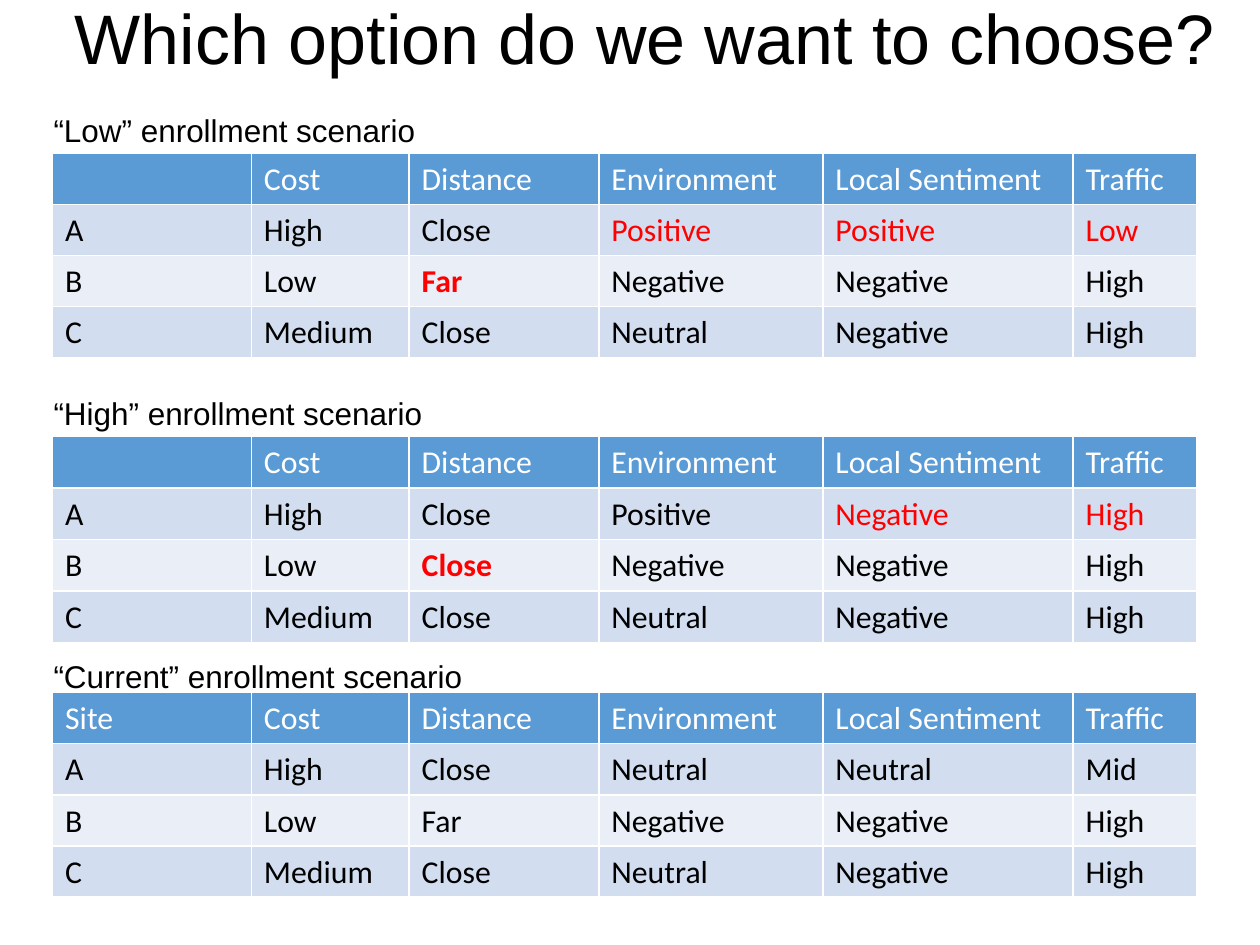
"""Build a slide that compares three sites under three enrollment scenarios."""
from dataclasses import dataclass

from lxml import etree
from pptx import Presentation
from pptx import util as u
from pptx.dml.color import RGBColor
from pptx.enum import text
from pptx.oxml.ns import qn
from pptx.slide import Slide
from pptx.table import _Cell
from pptx.text.text import TextFrame

COLORS = {
    "black": "000000",
    "white": "FFFFFF",
    "red": "FF0000",
    "header": "5B9BD5",
    "odd": "D2DEEF",
    "even": "EAEFF7",
}
CM_PER_INCH = 2.54
PAGE_WIDTH = 28 / CM_PER_INCH
PAGE_HEIGHT = 21 / CM_PER_INCH
COLUMN_WIDTHS = (1.74, 1.38, 1.66, 1.96, 2.19, 1.08)
TABLE_HEIGHT = 1.79
CRITERIA = ("Cost", "Distance", "Environment", "Local Sentiment", "Traffic")
SITE_C = ("C", "Medium", "Close", "Neutral", "Negative", "High")


@dataclass(frozen=True)
class Scenario:
    """One labelled table, with its changed cells given as (row, column)."""
    label: str
    label_top: float
    label_width: float
    table_top: float
    corner: str
    site_a: tuple[str, ...]
    site_b: tuple[str, ...]
    red: tuple[tuple[int, int], ...] = ()
    bold: tuple[tuple[int, int], ...] = ()


SCENARIOS = (
    Scenario("“High” enrollment scenario", 3.4, 3.49, 3.82, "",
             ("A", "High", "Close", "Positive", "Negative", "High"),
             ("B", "Low", "Close", "Negative", "Negative", "High"),
             red=((1, 4), (1, 5), (2, 2)), bold=((2, 2),)),
    Scenario("“Current” enrollment scenario", 5.7, 4.5, 6.06, "Site",
             ("A", "High", "Close", "Neutral", "Neutral", "Mid"),
             ("B", "Low", "Far", "Negative", "Negative", "High")),
    Scenario("“Low” enrollment scenario", 0.92, 3.49, 1.34, "",
             ("A", "High", "Close", "Positive", "Positive", "Low"),
             ("B", "Low", "Far", "Negative", "Negative", "High"),
             red=((1, 3), (1, 4), (1, 5), (2, 2)), bold=((2, 2),)),
)


def write(frame: TextFrame, words: str, *, size: float, font: str = "Arial",
          color: str = "black", bold: bool = False,
          align: text.PP_ALIGN = text.PP_ALIGN.LEFT) -> None:
    """Put one formatted run of text in a frame."""
    para = frame.paragraphs[0]
    para.alignment = align
    span = para.add_run()
    span.text = words
    span.font.size = u.Pt(size)
    span.font.name = font
    span.font.bold = bold
    span.font.color.rgb = RGBColor.from_string(COLORS[color])


def add_borders(cell: _Cell) -> None:
    """Draw thin white lines round a cell."""
    properties = cell._tc.get_or_add_tcPr()
    for position, side in enumerate(("lnL", "lnR", "lnT", "lnB")):
        line = etree.Element(qn(f"a:{side}"), w=str(u.Pt(1)))
        fill = etree.SubElement(line, qn("a:solidFill"))
        etree.SubElement(fill, qn("a:srgbClr"), val=COLORS["white"])
        properties.insert(position, line)


def format_cell(cell: _Cell, words: str, *, fill: str, color: str,
                bold: bool) -> None:
    """Fill, border and write one table cell."""
    cell.margin_left = cell.margin_right = u.Inches(0.11)
    cell.margin_top, cell.margin_bottom = u.Inches(0.06), u.Inches(0.05)
    cell.fill.solid()
    cell.fill.fore_color.rgb = RGBColor.from_string(COLORS[fill])
    add_borders(cell)
    if words:
        write(cell.text_frame, words, size=20, font="Calibri",
              color=color, bold=bold)


def add_scenario(page: Slide, scenario: Scenario) -> None:
    """Draw the label and the table of one scenario."""
    rows = ((scenario.corner, *CRITERIA), scenario.site_a, scenario.site_b, SITE_C)
    table = page.shapes.add_table(
        len(rows), len(COLUMN_WIDTHS), u.Inches(0.46), u.Inches(scenario.table_top),
        u.Inches(sum(COLUMN_WIDTHS)), u.Inches(TABLE_HEIGHT)).table
    for column, width in zip(table.columns, COLUMN_WIDTHS):
        column.width = u.Inches(width)
    for row, entries in enumerate(rows):
        header = row == 0
        fill = "header" if header else "odd" if row % 2 else "even"
        for column, words in enumerate(entries):
            place = (row, column)
            color = "white" if header else "red" if place in scenario.red else "black"
            format_cell(table.cell(row, column), words, fill=fill, color=color,
                        bold=place in scenario.bold)

    box = page.shapes.add_textbox(
        u.Inches(0.37), u.Inches(scenario.label_top),
        u.Inches(scenario.label_width), u.Inches(0.43))
    box.text_frame.word_wrap = True
    box.text_frame.auto_size = text.MSO_AUTO_SIZE.SHAPE_TO_FIT_TEXT
    write(box.text_frame, scenario.label, size=19.8)


def add_title(page: Slide) -> None:
    """Place and format the title placeholder."""
    title = page.shapes.title
    title.left, title.top = u.Inches(-0.92), u.Inches(-0.37)
    title.width, title.height = u.Inches(13.14), u.Inches(1.38)
    frame = title.text_frame
    frame.margin_left = frame.margin_right = 0
    frame.margin_top = frame.margin_bottom = 0
    frame.vertical_anchor = text.MSO_ANCHOR.MIDDLE
    frame.auto_size = text.MSO_AUTO_SIZE.NONE
    write(frame, "Which option do we want to choose?", size=44.1,
          align=text.PP_ALIGN.CENTER)


def main() -> None:
    """Build and save the deck."""
    deck = Presentation()
    deck.slide_width = u.Inches(PAGE_WIDTH)
    deck.slide_height = u.Inches(PAGE_HEIGHT)
    page = deck.slides.add_slide(deck.slide_layouts.get_by_name("Title Only"))
    add_title(page)
    for scenario in SCENARIOS:
        add_scenario(page, scenario)
    deck.save("out.pptx")


if __name__ == "__main__":
    main()
